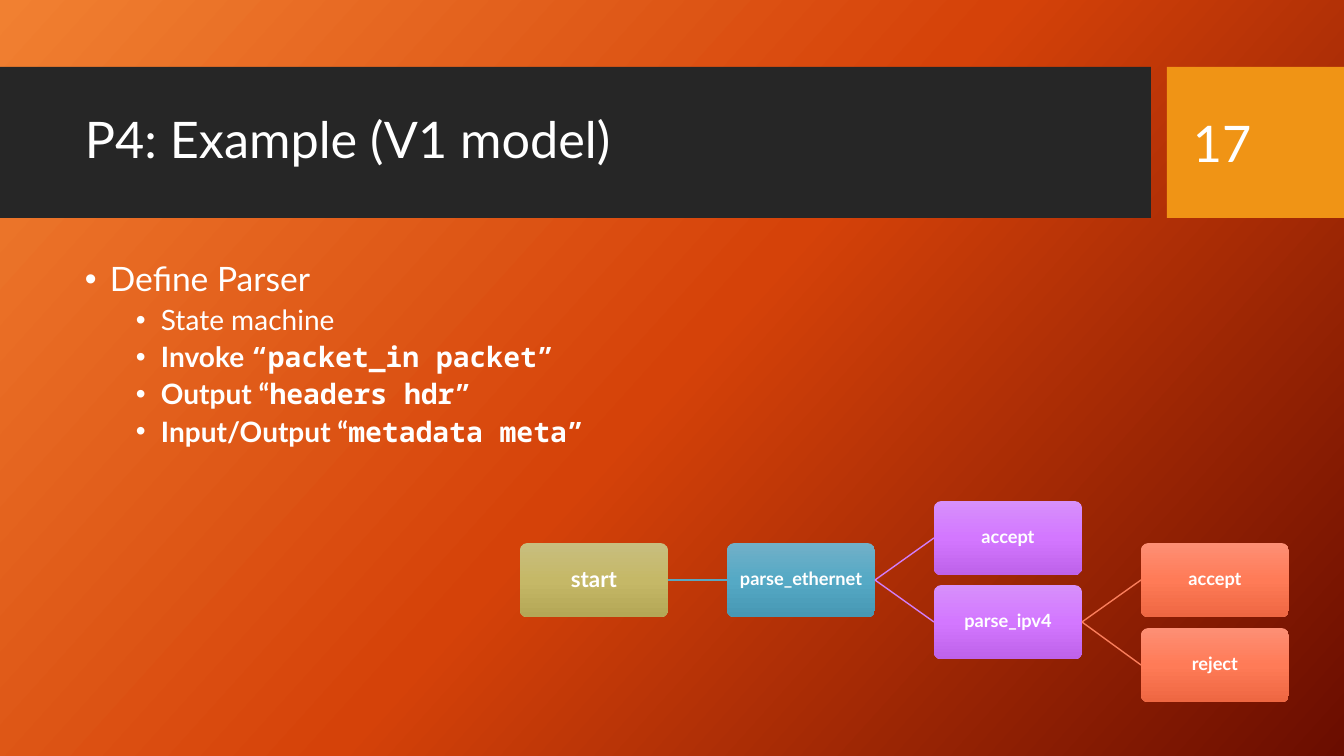
from copy import deepcopy

from pptx import Presentation
from pptx.dml.color import RGBColor
from pptx.enum.shapes import MSO_CONNECTOR, MSO_SHAPE
from pptx.enum.text import MSO_ANCHOR, PP_ALIGN
from pptx.oxml.ns import qn
from pptx.oxml.xmlchemy import OxmlElement
from pptx.util import Pt

RECT, ROUND = MSO_SHAPE.RECTANGLE, MSO_SHAPE.ROUNDED_RECTANGLE
LINE = MSO_CONNECTOR.STRAIGHT
TOP, MID, CENTER = MSO_ANCHOR.TOP, MSO_ANCHOR.MIDDLE, PP_ALIGN.CENTER
LEFT_SIDE, RIGHT_SIDE = 1, 3

SANS, MONO = "Lato", "Noto Sans Mono"
C = RGBColor.from_string
WHITE, DARK, AMBER = C("FFFFFF"), C("262626"), C("F09415")
BACK = C("F18031"), C("D54209"), C("6A0D00")
OLIVE = C("C8BE7F"), C("C5B867"), C("B4A756")
BLUE = C("71B0C8"), C("55A9C5"), C("4798B4")
VIOLET = C("D790FB"), C("D377FF"), C("BE62EA")
CORAL = C("FD8F75"), C("FF7B57"), C("EE6742")
BLUE_LINE, VIOLET_LINE, CORAL_LINE = C("5AA6C0"), C("D17DF9"), C("FA7E5C")

# Level, then (text, font, bold) runs
BODY = [
    (0, [("Define Parser", SANS, False)]),
    (1, [("State machine", SANS, False)]),
    (1, [("Invoke ", SANS, True), ("“packet_in packet”", MONO, True)]),
    (1, [("Output “", SANS, True), ("headers hdr”", MONO, True)]),
    (1, [("Input/Output “", SANS, True), ("metadata meta”", MONO, True)]),
]
# Text size, space before, left margin in px for each level
LEVELS = [(24, 10, 25), (20, 5, 76)]
HANG = 25

# Label, column, half row, size, fill, parent index, link colour
NODES = [
    ("start", 0, 1, 16, OLIVE, None, None),
    ("parse_ethernet", 1, 1, 13, BLUE, 0, BLUE_LINE),
    ("accept", 2, 0, 13, VIOLET, 1, VIOLET_LINE),
    ("parse_ipv4", 2, 2, 13, VIOLET, 1, VIOLET_LINE),
    ("accept", 3, 1, 13, CORAL, 3, CORAL_LINE),
    ("reject", 3, 3, 13, CORAL, 3, CORAL_LINE),
]


def px(n):
    return round(n * 914400 / 100.8)


def put(item, **values):
    for name, value in values.items():
        setattr(item, name, value)


def blend(fill, root, tones, angle):
    """Fill with three evenly spaced tones; angle is clockwise."""
    fill.gradient()
    stops = next(root.iter(qn("a:gsLst")))
    stops.insert(1, deepcopy(stops[0]))
    fill.gradient_angle = 360 - angle
    for i, (stop, tone) in enumerate(zip(fill.gradient_stops, tones)):
        stop.color.rgb = tone
        stop.position = i / 2


def block(slide, kind, box):
    shape = slide.shapes.add_shape(kind, *map(px, box))
    shape.shadow.inherit = False
    shape.line.fill.background()
    return shape


def write(par, text, size, font=SANS, bold=False):
    run = par.add_run()
    run.text = text
    put(run.font, name=font, size=Pt(size), bold=bold)
    run.font.color.rgb = WHITE


def text_box(slide, box, anchor):
    frame = slide.shapes.add_textbox(*map(px, box)).text_frame
    put(frame, word_wrap=True, vertical_anchor=anchor)
    return frame


def banner(slide, box, label, number):
    left, top, width, high = box
    tab, gap = 177, 16
    bar = width - tab - gap
    start = left + bar + gap
    # Bars
    for x, w, tone in ((left, bar, DARK), (start, tab, AMBER)):
        shape = block(slide, RECT, (x, top, w, high))
        shape.fill.solid()
        shape.fill.fore_color.rgb = tone
    # Title and slide number
    for x, w, text, space in ((left + 75, 1059, label, 0.9),
                              (start + 16, 127, number, 1.0)):
        par = text_box(slide, (x, top + 16, w, 119), MID).paragraphs[0]
        par.line_spacing = space
        write(par, text, 36)


def bullets(slide, box):
    frame = text_box(slide, box, TOP)
    for i, (level, runs) in enumerate(BODY):
        par = frame.add_paragraph() if i else frame.paragraphs[0]
        size, before, margin = LEVELS[level]
        put(par, level=level, line_spacing=0.9, space_before=Pt(before))
        # Bullet mark and hanging indent
        props = par._p.get_or_add_pPr()
        props.set("marL", str(px(margin)))
        props.set("indent", str(-px(HANG)))
        for tag, key, value in (("a:buFont", "typeface", "Arial"),
                                ("a:buChar", "char", "•")):
            mark = OxmlElement(tag)
            mark.set(key, value)
            props.append(mark)
        for text, font, bold in runs:
            write(par, text, size, font, bold)


def link(slide, parent, child, tone):
    line = slide.shapes.add_connector(LINE, 0, 0, 0, 0)
    line.begin_connect(parent, RIGHT_SIDE)
    line.end_connect(child, LEFT_SIDE)
    line.line.color.rgb = tone
    line.line.width = Pt(1)
    line._element.spPr.append(OxmlElement("a:effectLst"))


def states(slide, box):
    left, top, width, high = box
    wide, tall = 148, 74
    step, row = (width - wide) // 3, high - tall
    shapes = []
    for label, col, half, size, tones, parent, tone in NODES:
        place = left + col * step, top + half * row // 3, wide, tall
        node = block(slide, ROUND, place)
        node.adjustments[0] = 0.1
        blend(node.fill, node._element, tones, 90)
        frame = node.text_frame
        put(frame, word_wrap=True, vertical_anchor=MID,
            margin_left=px(3), margin_right=px(3),
            margin_top=px(3), margin_bottom=px(3))
        par = frame.paragraphs[0]
        put(par, alignment=CENTER, line_spacing=0.9)
        write(par, label, size, bold=True)
        shapes.append(node)
        if parent is not None:
            link(slide, shapes[parent], node, tone)


def main():
    deck = Presentation()
    put(deck, slide_width=px(1344), slide_height=px(756))
    slide = deck.slides.add_slide(deck.slide_layouts[6])
    blend(slide.background.fill, slide._element, BACK, 42)
    banner(slide, (0, 67, 1344, 151), "P4: Example (V1 model)", "17")
    bullets(slide, (75, 258, 597, 397))
    states(slide, (520, 501, 769, 201))
    deck.save("out.pptx")


if __name__ == "__main__":
    main()
